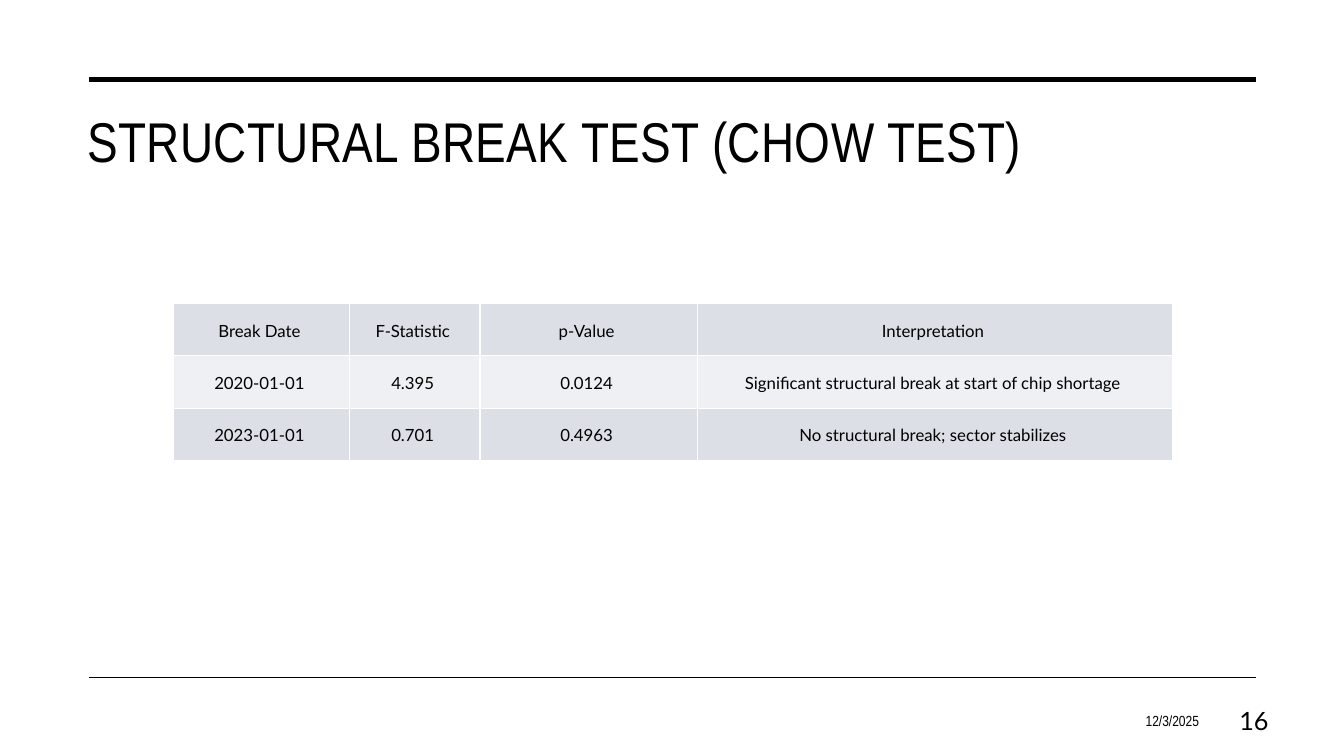
import pptx
import pptx.dml.color
import pptx.enum.shapes
import pptx.enum.text
import pptx.oxml
import pptx.oxml.ns
import pptx.util

PX = 9144  # EMU per px, 100 px to the inch
BLACK = pptx.dml.color.RGBColor(0x00, 0x00, 0x00)
WHITE = pptx.dml.color.RGBColor(0xFF, 0xFF, 0xFF)
BAND_DARK = pptx.dml.color.RGBColor(0xDD, 0xDF, 0xE7)
BAND_LIGHT = pptx.dml.color.RGBColor(0xEF, 0xF0, 0xF3)
HEADING_FONT = "Arial Narrow"
BODY_FONT = "Lato"
ALIGN = pptx.enum.text.PP_ALIGN
ANCHOR = pptx.enum.text.MSO_ANCHOR
HARD_SPACE = chr(160)  # closes every table entry

COLUMN_WIDTHS = [175, 129, 216, 471]
ROW_HEIGHT = 52
BREAK_TESTS = [
    ["Break Date", "F-Statistic", "p-Value", "Interpretation"],
    ["2020-01-01", "4.395", "0.0124",
     "Significant structural break at start of chip shortage"],
    ["2023-01-01", "0.701", "0.4963", "No structural break; sector stabilizes"],
]


def px(length):
    return pptx.util.Emu(length * PX)


def add_span(para, text, size, font):
    span = para.add_run()
    span.text = text
    span.font.size = pptx.util.Pt(size)
    span.font.name = font
    span.font.color.rgb = BLACK
    return span


def add_text(page, left, top, width, height, text, size, font,
             align=ALIGN.LEFT, anchor=ANCHOR.TOP):
    box = page.shapes.add_textbox(px(left), px(top), px(width), px(height))
    box.text_frame.word_wrap = True
    box.text_frame.vertical_anchor = anchor
    para = box.text_frame.paragraphs[0]
    para.alignment = align
    return add_span(para, text, size, font)


def add_rule(page, y, weight):
    rule = page.shapes.add_connector(
        pptx.enum.shapes.MSO_CONNECTOR.STRAIGHT, px(88), px(y), px(1246), px(y))
    rule.line.color.rgb = BLACK
    rule.line.width = pptx.util.Pt(weight)
    pptx.oxml.ns.qn("a:effectLst")
    rule._element.spPr.append(
        pptx.oxml.parse_xml("<a:effectLst %s/>" % pptx.oxml.ns.nsdecls("a")))


def add_borders(cell):
    properties = cell._tc.get_or_add_tcPr()
    for position, side in enumerate(("lnL", "lnR", "lnT", "lnB")):
        border = pptx.oxml.parse_xml(
            f'<a:{side} {pptx.oxml.ns.nsdecls("a")} w="12700"><a:solidFill>'
            f'<a:srgbClr val="{WHITE}"/></a:solidFill></a:{side}>')
        properties.insert(position, border)


def fill_cell(cell, text, color):
    cell.fill.solid()
    cell.fill.fore_color.rgb = color
    add_borders(cell)
    cell.vertical_anchor = ANCHOR.MIDDLE
    cell.margin_left = cell.margin_right = px(7)
    cell.margin_top = cell.margin_bottom = px(5)
    para = cell.text_frame.paragraphs[0]
    para.alignment = ALIGN.CENTER
    para.line_spacing = pptx.util.Pt(15.7)
    add_span(para, text + HARD_SPACE, 12, BODY_FONT)


def add_test_table(page, left, top):
    table = page.shapes.add_table(
        len(BREAK_TESTS), len(COLUMN_WIDTHS), px(left), px(top),
        px(sum(COLUMN_WIDTHS)), px(ROW_HEIGHT * len(BREAK_TESTS))).table
    for column, width in zip(table.columns, COLUMN_WIDTHS):
        column.width = px(width)
    for index, entries in enumerate(BREAK_TESTS):
        table.rows[index].height = px(ROW_HEIGHT)
        color = BAND_LIGHT if index % 2 else BAND_DARK
        for cell, text in zip(table.rows[index].cells, entries):
            fill_cell(cell, text, color)


def main():
    deck = pptx.Presentation()
    deck.slide_width, deck.slide_height = px(1333), px(750)
    page = deck.slides.add_slide(deck.slide_layouts[6])

    # Rules above and below the content
    add_rule(page, 79, 3.5)
    add_rule(page, 672, 1)

    # Title, slightly letter-spaced
    title = add_text(page, 77, 101, 1169, 150,
                     "STRUCTURAL BREAK TEST (CHOW TEST)", 40, HEADING_FONT)
    title.font._element.set("spc", "30")

    # Chow test results
    add_test_table(page, 172, 301)

    # Date and page number
    add_text(page, 915, 695, 284, 40, "12/3/2025", 10.5, HEADING_FONT,
             ALIGN.RIGHT, ANCHOR.MIDDLE)
    add_text(page, 1194, 695, 74, 40, "16", 18, BODY_FONT,
             ALIGN.RIGHT, ANCHOR.MIDDLE)

    deck.save("out.pptx")


if __name__ == "__main__":
    main()
